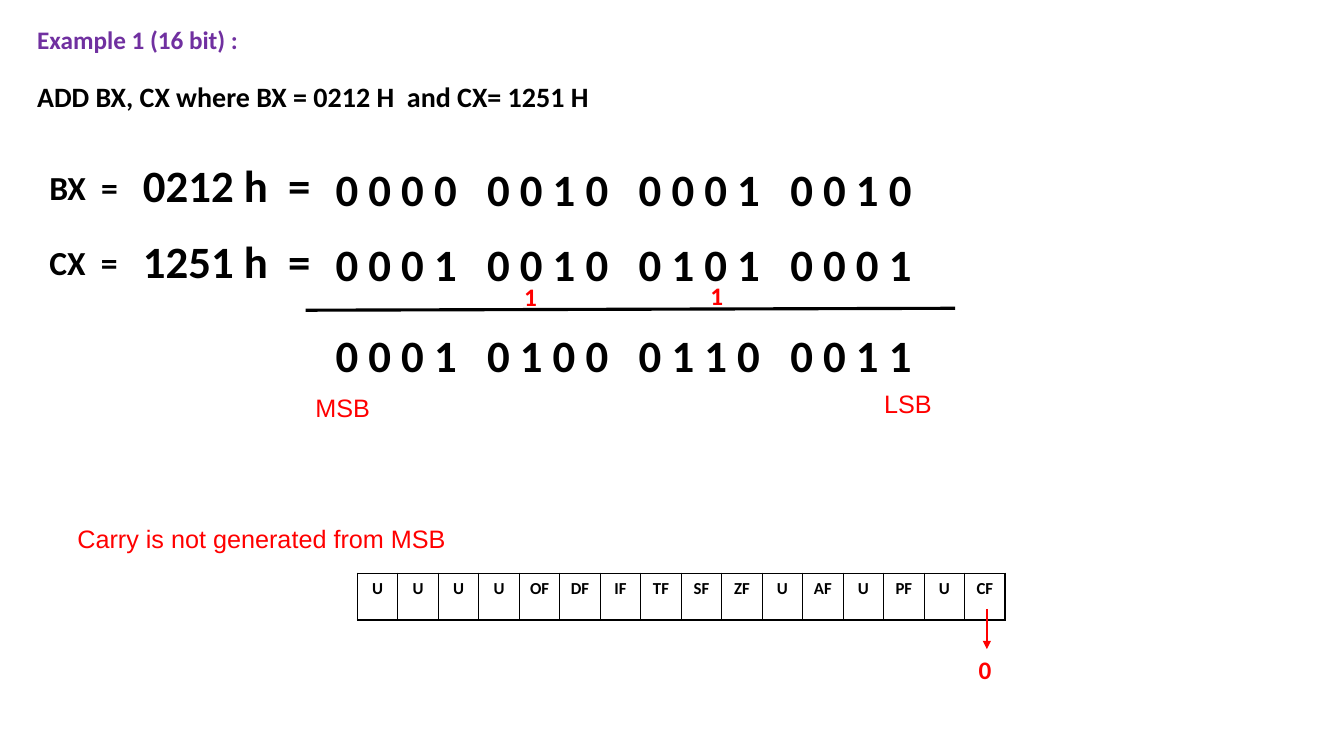
from lxml.etree import SubElement
from pptx import Presentation
from pptx.dml.color import RGBColor
from pptx.enum.shapes import MSO_CONNECTOR
from pptx.enum.text import MSO_ANCHOR, MSO_AUTO_SIZE, PP_ALIGN
from pptx.oxml.ns import qn
from pptx.util import Pt

COLORS = {"black": "000000", "red": "FF0000", "purple": "7030A0"}

prs = Presentation()
prs.slide_width, prs.slide_height = Pt(960), Pt(540)
s = prs.slides.add_slide(prs.slide_layouts[5])


def write(text, box=None, sp=None, size=18, color="black", font="Calibri",
          bold=True, wrap=True, align=PP_ALIGN.LEFT):
    """Put one formatted line into a new text box, or into the given shape or cell."""
    if sp is None:
        sp = s.shapes.add_textbox(*map(Pt, box))
    tf = sp.text_frame
    tf.word_wrap = wrap
    p = tf.paragraphs[0]
    p.alignment = align
    r = p.add_run()
    r.text = text
    r.font.size, r.font.bold, r.font.name = Pt(size), bold, font
    r.font.color.rgb = RGBColor.from_string(COLORS[color])


def draw_line(x1, y1, x2, y2, color, width):
    c = s.shapes.add_connector(MSO_CONNECTOR.STRAIGHT, Pt(x1), Pt(y1), Pt(x2), Pt(y2))
    c.line.color.rgb = RGBColor.from_string(COLORS[color])
    c.line.width = Pt(width)
    SubElement(c._element.spPr, qn("a:effectLst"))
    return c


# Title and task
title = s.shapes.title
title.left, title.top, title.width, title.height = Pt(19.4), Pt(13.7), Pt(191.5), Pt(29)
title.text_frame.auto_size = MSO_AUTO_SIZE.NONE
title.text_frame.vertical_anchor = MSO_ANCHOR.TOP
write("Example 1 (16 bit) :", sp=title, color="purple")
write("ADD BX, CX where BX = 0212 H  and CX= 1251 H", (19.4, 53.5, 562, 31.5), size=20)

# Operands
operands = [
    ("BX", "0212", "0 0 0 0   0 0 1 0   0 0 0 1   0 0 1 0"),
    ("CX", "1251", "0 0 0 1   0 0 1 0   0 1 0 1   0 0 0 1"),
]
for i, (register, value, bits) in enumerate(operands):
    y = 109.4 + 54.2 * i
    write(f"{register}  =", (28.2, y + 6, 69, 36), size=24, wrap=False)
    write(f"{value} h  =", (95, y, 137.5, 46), size=32)
    write(bits, (232.6, y + 2.2, 573, 46), size=32)

# Sum with carries
draw_line(218.4, 221.6, 682.3, 220.2, "black", 2.25)
write("0 0 0 1   0 1 0 0   0 1 1 0   0 0 1 1", (232.6, 230.4, 573, 46), size=32)
for x, y in [(367.3, 197.3), (500.3, 196.6)]:
    write("1", (x, y, 23.8, 29), color="red", wrap=False)

# Red remarks
for text, box, wrap in [
    ("MSB", (218.2, 276.5, 54, 29), False),
    ("LSB", (624.4, 273.8, 49, 29), False),
    ("Carry is not generated from MSB", (48.2, 370.2, 301, 29), True),
]:
    write(text, box, color="red", font="Arial", bold=False, wrap=wrap)

# Flag register
flags = "U U U U OF DF IF TF SF ZF U AF U PF U CF".split()
table = s.shapes.add_table(1, len(flags), Pt(255.3), Pt(409.5), Pt(463), Pt(33.4)).table
table.first_row = table.horz_banding = False
for col, cell, flag in zip(table.columns, table.rows[0].cells, flags):
    col.width = Pt(463 / len(flags))
    cell.margin_left = cell.margin_right = Pt(3)
    for side in ("lnL", "lnR", "lnT", "lnB"):
        ln = SubElement(cell._tc.get_or_add_tcPr(), qn(f"a:{side}"), w=str(Pt(1)))
        SubElement(SubElement(ln, qn("a:solidFill")), qn("a:srgbClr"), val=COLORS["black"])
    cell.fill.background()
    write(flag, sp=cell, size=12, align=PP_ALIGN.CENTER)

# Carry flag result
arrow = draw_line(704.9, 434.9, 704.9, 463.7, "red", 1.5)
SubElement(arrow.line._get_or_add_ln(), qn("a:tailEnd"), type="triangle")
write("0", (691.9, 463.7, 25, 29), color="red")

prs.save("out.pptx")
